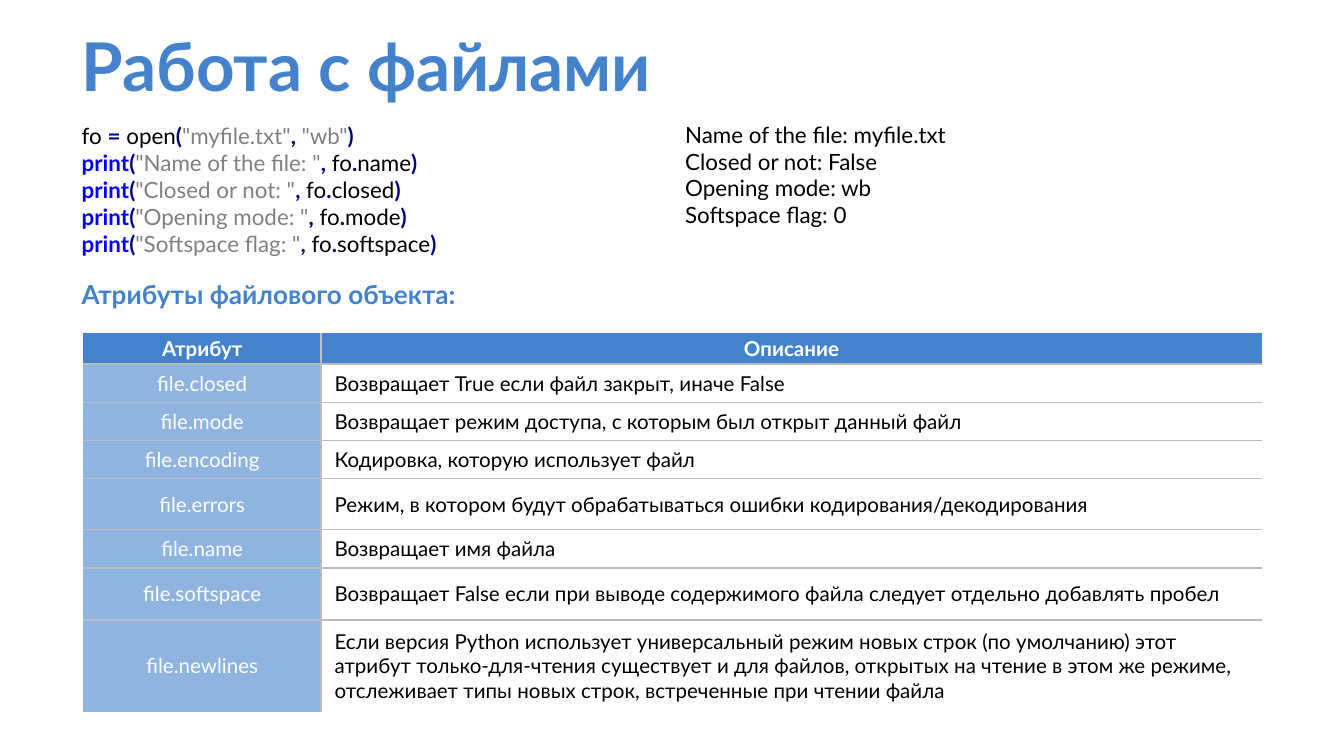
from lxml import etree
from pptx import Presentation
from pptx.dml.color import RGBColor
from pptx.enum.text import MSO_ANCHOR, PP_ALIGN
from pptx.oxml.ns import qn
from pptx.util import Inches, Pt

CENTER, LEFT = PP_ALIGN.CENTER, PP_ALIGN.LEFT
MIDDLE = MSO_ANCHOR.MIDDLE

BLUE = RGBColor(0x44, 0x82, 0xCC)
LIGHT_BLUE = RGBColor(0x8F, 0xB4, 0xE0)
WHITE = RGBColor(0xFF, 0xFF, 0xFF)
BLACK = RGBColor(0x00, 0x00, 0x00)
NAVY = RGBColor(0x00, 0x00, 0x80)
KEYWORD_BLUE = RGBColor(0x00, 0x00, 0xFF)
GRAY = RGBColor(0x80, 0x80, 0x80)
BORDER_GRAY = RGBColor(0xBD, 0xBD, 0xBD)
FONT = "Lato"

# A 16:9 slide
presentation = Presentation()
presentation.slide_width = Inches(10)
presentation.slide_height = Inches(10) * 9 // 16
slide = presentation.slides.add_slide(presentation.slide_layouts[6])


def add_text(left, top, width, height, lines, size, color, bold=False):
    """Add a text box; each line is a list of (text, color, bold) runs or a plain string."""
    box = slide.shapes.add_textbox(Inches(left), Inches(top), Inches(width), Inches(height))
    frame = box.text_frame
    frame.word_wrap = True
    for index, line in enumerate(lines):
        paragraph = frame.paragraphs[0] if index == 0 else frame.add_paragraph()
        paragraph.font.name = FONT
        paragraph.font.size = Pt(size)
        runs = [(line, color, bold)] if isinstance(line, str) else line
        for text, run_color, run_bold in runs:
            run = paragraph.add_run()
            run.text = text
            run.font.color.rgb = run_color
            run.font.bold = run_bold
    return frame


def set_borders(cell, visible_sides):
    properties = cell._tc.get_or_add_tcPr()
    for side in "LRTB":
        line = etree.SubElement(properties, qn(f"a:ln{side}"), w=str(Pt(1)))
        if side in visible_sides:
            fill = etree.SubElement(line, qn("a:solidFill"))
            etree.SubElement(fill, qn("a:srgbClr"), val=str(BORDER_GRAY))
        else:
            etree.SubElement(line, qn("a:noFill"))


# Title
title = add_text(0.51, 0.2, 9.49, 0.56, ["Работа с файлами"], 36, BLUE, True)
title.margin_top = title.margin_bottom = Inches(0.1)
title.paragraphs[0].line_spacing = 0.8

# Code and its output
code = [[
    ("fo ", BLACK, False), ("=", NAVY, True), (" open", BLACK, False), ("(", NAVY, True),
    ('"myfile.txt"', GRAY, False), (", ", NAVY, True), ('"wb"', GRAY, False), (")", NAVY, True),
]]
for label, attribute in [
    ("Name of the file", "name"), ("Closed or not", "closed"),
    ("Opening mode", "mode"), ("Softspace flag", "softspace"),
]:
    code.append([
        ("print", KEYWORD_BLUE, True), ("(", NAVY, True), (f'"{label}: "', GRAY, False),
        (",", NAVY, True), (" fo", BLACK, False), (".", NAVY, True),
        (attribute, BLACK, False), (")", NAVY, True),
    ])
add_text(0.51, 0.86, 4.8, 1.11, code, 12, BLACK)

output = [
    "Name of the file: myfile.txt",
    "Closed or not: False",
    "Opening mode: wb",
    "Softspace flag: 0",
]
add_text(5, 0.85, 4, 0.91, output, 12, BLACK)

# Attribute table
add_text(0.51, 2.02, 9.36, 0.34, ["Атрибуты файлового объекта:"], 14, BLUE, True)

rows = [
    (0.23, "Атрибут", "Описание"),
    (0.28, "file.closed", "Возвращает True если файл закрыт, иначе False"),
    (0.28, "file.mode", "Возвращает режим доступа, с которым был открыт данный файл"),
    (0.28, "file.encoding", "Кодировка, которую использует файл"),
    (0.38, "file.errors", "Режим, в котором будут обрабатываться ошибки кодирования/декодирования"),
    (0.28, "file.name", "Возвращает имя файла"),
    (0.39, "file.softspace",
     "Возвращает False если при выводе содержимого файла следует отдельно добавлять пробел"),
    (0.68, "file.newlines",
     "Если версия Python использует универсальный режим новых строк (по умолчанию) этот "
     "атрибут только-для-чтения существует и для файлов, открытых на чтение в этом же режиме, "
     "отслеживает типы новых строк, встреченные при чтении файла"),
]
table_height = sum(height for height, *_ in rows)
table = slide.shapes.add_table(
    len(rows), 2, Inches(0.62), Inches(2.48), Inches(8.77), Inches(table_height)).table
table.columns[0].width = Inches(1.77)
table.columns[1].width = Inches(7)

for row_index, (height, *texts) in enumerate(rows):
    table.rows[row_index].height = Inches(height)
    is_header = row_index == 0
    for column_index, text in enumerate(texts):
        is_name = column_index == 0
        cell = table.cell(row_index, column_index)
        cell.text = text
        cell.vertical_anchor = MIDDLE
        if is_header:
            cell.margin_left = cell.margin_right = Inches(0.06)
            cell.margin_top = cell.margin_bottom = 0

        sides = "R" if is_name else "L"
        if not is_header:
            sides += "T"
        if row_index < len(rows) - 1:
            sides += "B"
        set_borders(cell, sides)

        cell.fill.solid()
        cell.fill.fore_color.rgb = BLUE if is_header else LIGHT_BLUE if is_name else WHITE
        paragraph = cell.text_frame.paragraphs[0]
        paragraph.alignment = CENTER if is_header or is_name else LEFT
        paragraph.font.name = FONT
        paragraph.font.size = Pt(11)
        paragraph.font.bold = is_header
        paragraph.font.color.rgb = WHITE if is_header or is_name else BLACK

presentation.save("out.pptx")
